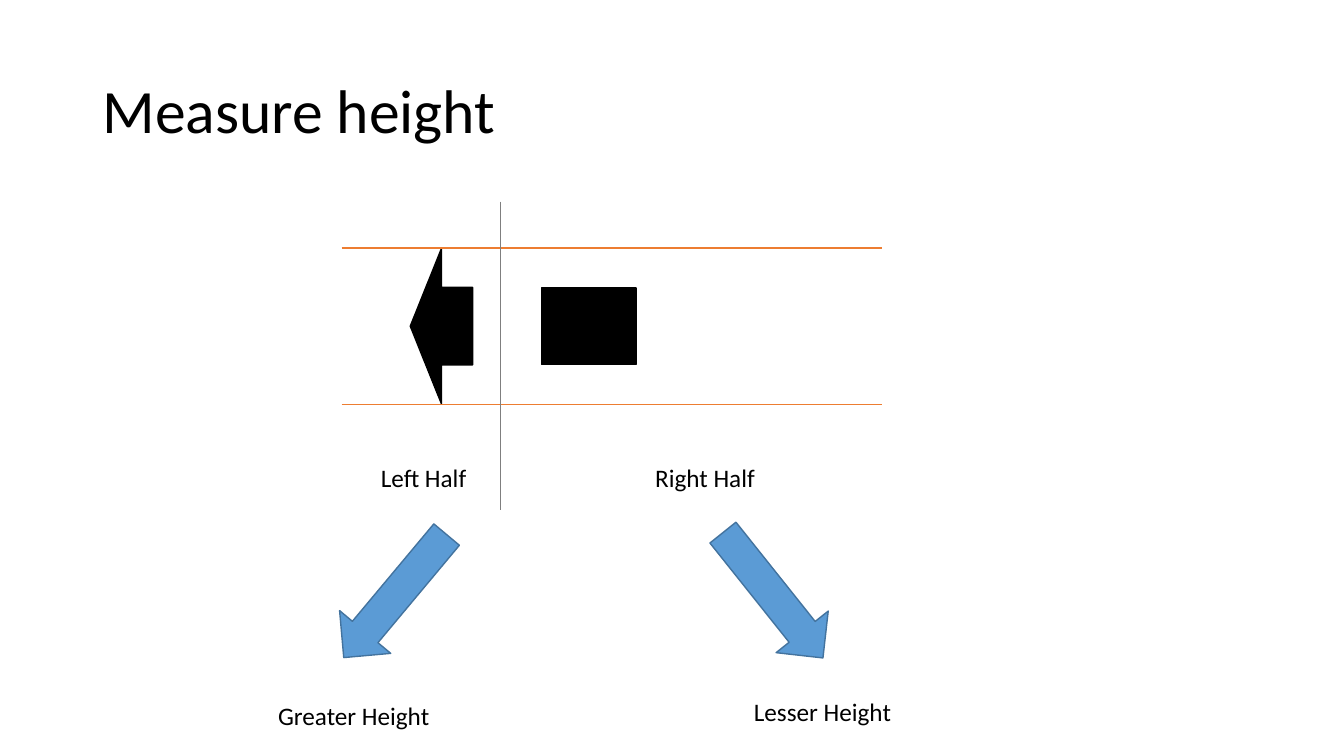
import pptx
import pptx.dml.color
import pptx.enum.shapes
import pptx.enum.text
import pptx.oxml
import pptx.util

Cm, Pt = pptx.util.Cm, pptx.util.Pt
SHAPE = pptx.enum.shapes.MSO_SHAPE

THEME = {
    "font": "Calibri", "title_size": 44, "label_size": 18,
    "text": "000000", "solid": "000000", "guide": "ED7D31", "divider": "7F7F7F",
    "arrow": "5B9BD5", "arrow_edge": "43739E",
}

# Lengths in centimetres
TITLE = ("Measure height", (2.33, 1.01, 29.21, 3.68))
GUIDE_LEFT, GUIDE_RIGHT = 8.61, 22.23
GUIDE_TOP, GUIDE_BOTTOM = 6.25, 10.19
DIVIDER_X, DIVIDER_TOP, DIVIDER_BOTTOM = 12.62, 5.08, 12.85
HEAD_LEFT, HEAD_WIDTH, HEAD_HEIGHT = 10.34, 1.57, 3.91
TAIL_LEFT, TAIL_WIDTH, TAIL_HEIGHT = 13.64, 2.39, 1.93
POINTER_WIDTH, POINTER_HEIGHT = 1.68, 4.04
LABEL_HEIGHT = 1.02

# text, left, top, width, wraps
LABELS = [
    ("Left Half", 9.35, 11.53, 2.72, False),
    ("Right Half", 16.26, 11.53, 3.23, True),
    ("Greater Height", 6.76, 17.53, 4.37, False),
    ("Lesser Height", 18.75, 17.42, 4.01, False),
]
# left, top, rotation in degrees
POINTERS = [(18.64, 12.98, 321.4), (9.12, 13, 39.9)]


def color(name):
    return pptx.dml.color.RGBColor.from_string(THEME[name])


def format_text(tf, text, size):
    tf.text = text
    p = tf.paragraphs[0]
    p.font.name = THEME["font"]
    p.font.size = Pt(THEME[size])
    p.font.color.rgb = color("text")
    return p


def add_shape(slide, kind, box, fill, edge, rotation=0):
    sp = slide.shapes.add_shape(kind, *map(Cm, box))
    sp.shadow.inherit = False
    sp.rotation = rotation
    sp.fill.solid()
    sp.fill.fore_color.rgb = color(fill)
    sp.line.color.rgb = color(edge)
    sp.line.width = Pt(1)


def add_line(slide, start, end, name, width):
    line = slide.shapes.add_connector(
        pptx.enum.shapes.MSO_CONNECTOR.STRAIGHT, *map(Cm, start + end))
    line.line.color.rgb = color(name)
    line.line.width = Pt(width)
    properties = line._element.spPr
    properties.append(pptx.oxml.parse_xml(
        '<a:effectLst xmlns:a="http://schemas.openxmlformats.org/drawingml/2006/main"/>'))


def add_title(slide):
    text, box = TITLE
    sp = slide.shapes.title
    sp.left, sp.top, sp.width, sp.height = map(Cm, box)
    sp.text_frame.vertical_anchor = pptx.enum.text.MSO_ANCHOR.MIDDLE
    p = format_text(sp.text_frame, text, "title_size")
    p.alignment = pptx.enum.text.PP_ALIGN.LEFT
    p.line_spacing = 0.9


def add_label(slide, text, left, top, width, wraps):
    box = slide.shapes.add_textbox(Cm(left), Cm(top), Cm(width), Cm(LABEL_HEIGHT))
    box.text_frame.word_wrap = wraps
    box.text_frame.auto_size = pptx.enum.text.MSO_AUTO_SIZE.SHAPE_TO_FIT_TEXT
    format_text(box.text_frame, text, "label_size")


def add_measured_arrow(slide):
    """Draw the arrow's two halves, centred between the height guides."""
    middle = (GUIDE_TOP + GUIDE_BOTTOM) / 2
    add_shape(slide, SHAPE.LEFT_ARROW,
              (HEAD_LEFT, middle - HEAD_HEIGHT / 2, HEAD_WIDTH, HEAD_HEIGHT),
              "solid", "solid")
    add_shape(slide, SHAPE.RECTANGLE,
              (TAIL_LEFT, middle - TAIL_HEIGHT / 2, TAIL_WIDTH, TAIL_HEIGHT),
              "solid", "solid")
    for y, width in ((GUIDE_TOP, 1.5), (GUIDE_BOTTOM, 0.5)):
        add_line(slide, (GUIDE_LEFT, y), (GUIDE_RIGHT, y), "guide", width)
    add_line(slide, (DIVIDER_X, DIVIDER_TOP), (DIVIDER_X, DIVIDER_BOTTOM),
             "divider", 0.5)


def main():
    prs = pptx.Presentation()
    prs.slide_width, prs.slide_height = Cm(33.87), Cm(19.05)
    slide = prs.slides.add_slide(prs.slide_layouts.get_by_name("Title Only"))
    add_title(slide)
    add_measured_arrow(slide)
    for left, top, rotation in POINTERS:
        add_shape(slide, SHAPE.DOWN_ARROW, (left, top, POINTER_WIDTH, POINTER_HEIGHT),
                  "arrow", "arrow_edge", rotation)
    for label in LABELS:
        add_label(slide, *label)
    prs.save("out.pptx")


if __name__ == "__main__":
    main()
